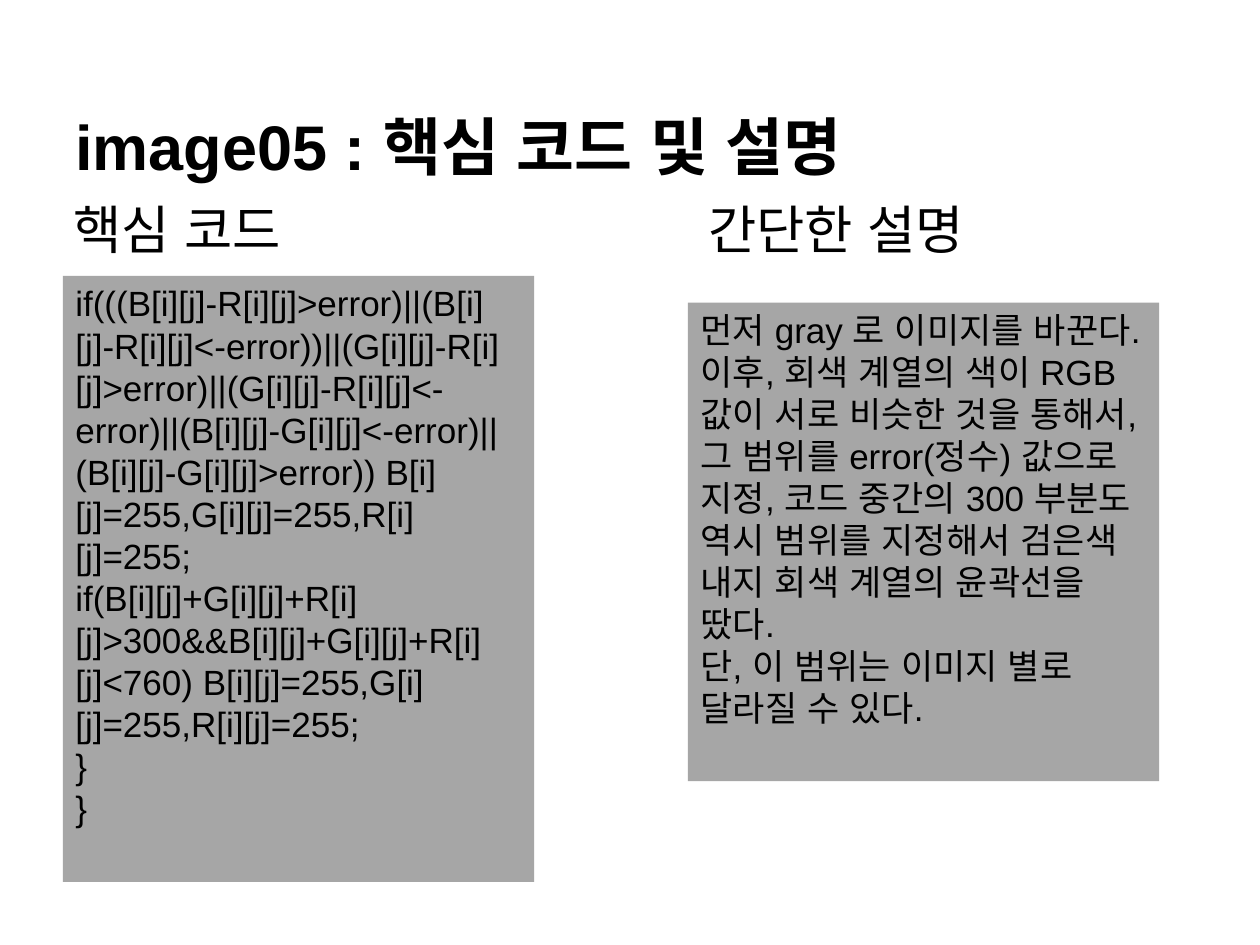
"""Build the image05 slide: key code beside a short explanation."""
from dataclasses import dataclass

from lxml import etree
from pptx import Presentation
from pptx.dml.color import RGBColor
from pptx.enum.shapes import MSO_SHAPE
from pptx.enum.text import MSO_ANCHOR, PP_ALIGN
from pptx.oxml.ns import qn
from pptx.util import Cm, Pt

RECTANGLE = MSO_SHAPE.RECTANGLE
TOP, BOTTOM = MSO_ANCHOR.TOP, MSO_ANCHOR.BOTTOM
LEFT = PP_ALIGN.LEFT
FONT, BLACK, GRAY = "Arial", "000000", "A6A6A6"
PANEL_WIDTH = 9.5

CODE = (
    "if(((B[i][j]-R[i][j]>error)||(B[i][j]-R[i][j]<-error))||(G[i][j]-R[i][j]>error)"
    "||(G[i][j]-R[i][j]<-error)||(B[i][j]-G[i][j]<-error)||(B[i][j]-G[i][j]>error)) "
    "B[i][j]=255,G[i][j]=255,R[i][j]=255;",
    "if(B[i][j]+G[i][j]+R[i][j]>300&&B[i][j]+G[i][j]+R[i][j]<760) "
    "B[i][j]=255,G[i][j]=255,R[i][j]=255;",
    "}",
    "}",
)
EXPLANATION = (
    "먼저 gray 로 이미지를 바꾼다.",
    "이후, 회색 계열의 색이 RGB값이 서로 비슷한 것을 통해서, 그 범위를 error(정수) 값으로 지정, "
    "코드 중간의 300 부분도 역시 범위를 지정해서 검은색 내지 회색 계열의 윤곽선을 땄다.",
    "단, 이 범위는 이미지 별로 달라질 수 있다.",
)


@dataclass
class Heading:
    """A line of heading text, with its box in centimetres."""
    text: str
    left: float
    top: float
    width: float
    height: float
    size: int = 30
    inset: float = 0.79
    bold: bool = False
    anchor: MSO_ANCHOR = TOP


@dataclass
class Panel:
    """A gray panel of paragraphs, with its place in centimetres."""
    lines: tuple[str, ...]
    left: float
    top: float
    height: float


HEADINGS = (
    Heading("image05 : 핵심 코드 및 설명", 1.27, 0.76, 22.86, 3.18, 36, 0.25, True, BOTTOM),
    Heading("핵심 코드", 0.69, 3.73, 11.5, 1.83),
    Heading("간단한 설명", 13.49, 3.73, 11.4, 1.83),
)
PANELS = (
    Panel(CODE, 1.27, 5.56, 12.22),
    Panel(EXPLANATION, 13.87, 6.1, 9.65),
)


def rgb(value: str) -> RGBColor:
    """Turn a hex string into a colour."""
    return RGBColor.from_string(value)


def write(tf, lines: tuple[str, ...], size: int, bold: bool = False) -> None:
    """Fill a text frame with left-aligned paragraphs, Korean glyphs included in the font."""
    tf.word_wrap = True
    for i, line in enumerate(lines):
        p = tf.paragraphs[0] if i == 0 else tf.add_paragraph()
        p.text = line
        p.alignment = LEFT
        p.font.name, p.font.size, p.font.bold = FONT, Pt(size), bold
        p.font.color.rgb = rgb(BLACK)
        props = p._p.pPr.find(qn("a:defRPr"))
        for script in ("a:ea", "a:cs"):
            etree.SubElement(props, qn(script), typeface=FONT)


def draw_heading(s, h: Heading) -> None:
    """Draw one heading."""
    tf = s.shapes.add_textbox(Cm(h.left), Cm(h.top), Cm(h.width), Cm(h.height)).text_frame
    tf.margin_left = Cm(h.inset)
    tf.margin_top = tf.margin_right = tf.margin_bottom = Cm(0.25)
    tf.vertical_anchor = h.anchor
    write(tf, (h.text,), h.size, h.bold)


def draw_panel(s, panel: Panel) -> None:
    """Draw one gray panel."""
    sp = s.shapes.add_shape(
        RECTANGLE, Cm(panel.left), Cm(panel.top), Cm(PANEL_WIDTH), Cm(panel.height))
    sp.shadow.inherit = False
    sp.fill.solid()
    sp.fill.fore_color.rgb = rgb(GRAY)
    sp.line.fill.background()
    sp.text_frame.vertical_anchor = TOP
    write(sp.text_frame, panel.lines, 20)


def main() -> None:
    """Build and save the slide."""
    prs = Presentation()
    prs.slide_width, prs.slide_height = Cm(25.4), Cm(19.05)
    s = prs.slides.add_slide(prs.slide_layouts[6])
    for heading in HEADINGS:
        draw_heading(s, heading)
    for panel in PANELS:
        draw_panel(s, panel)
    prs.save("out.pptx")


if __name__ == "__main__":
    main()
